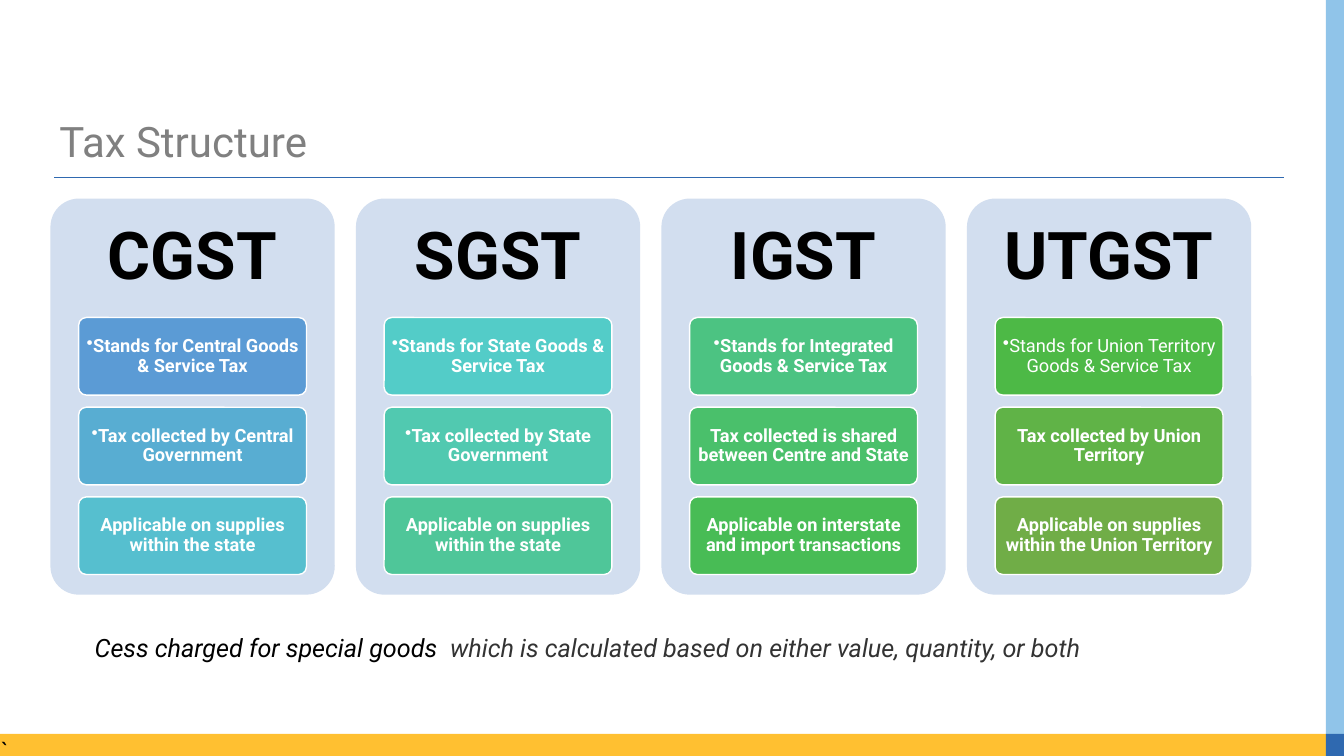
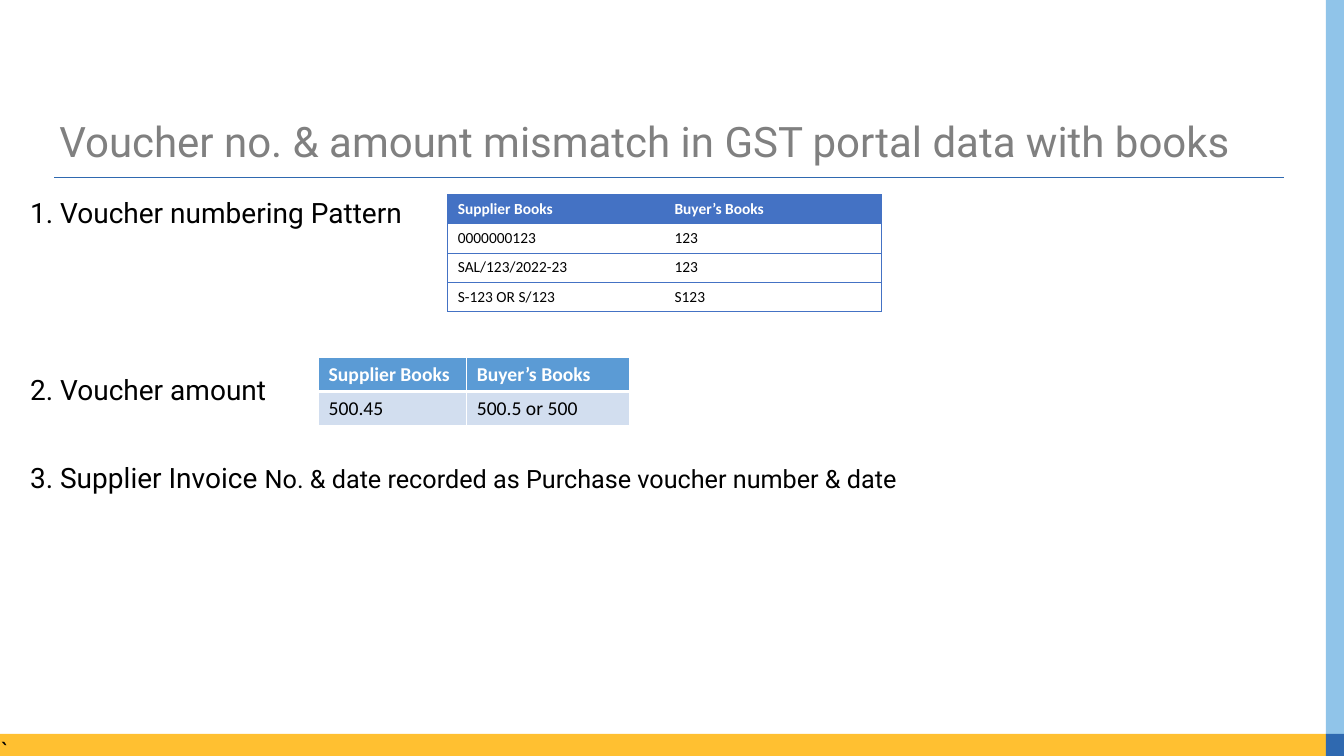
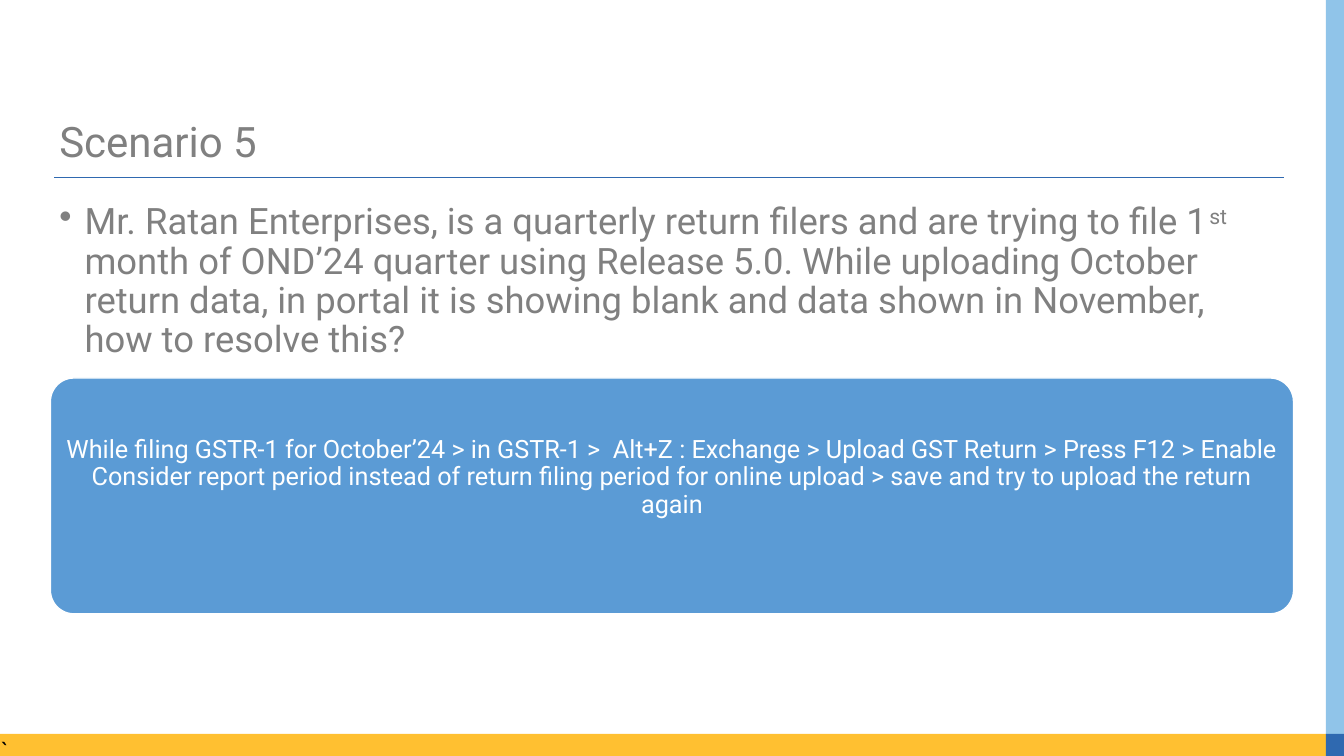
from dataclasses import dataclass

from lxml import etree
from pptx import Presentation
from pptx.dml.color import RGBColor
from pptx.enum.shapes import MSO_CONNECTOR, MSO_SHAPE
from pptx.enum.text import MSO_ANCHOR, PP_ALIGN
from pptx.oxml.ns import qn
from pptx.util import Emu, Pt

RECTANGLE, ROUNDED = MSO_SHAPE.RECTANGLE, MSO_SHAPE.ROUNDED_RECTANGLE
STRAIGHT = MSO_CONNECTOR.STRAIGHT
TOP, MIDDLE = MSO_ANCHOR.TOP, MSO_ANCHOR.MIDDLE
LEFT, CENTER = PP_ALIGN.LEFT, PP_ALIGN.CENTER
EMU_PER_PX = 9144
SLIDE_WIDTH, SLIDE_HEIGHT = 1333, 750
CORNER = 0.1


@dataclass(frozen=True)
class Theme:
    font: str = "Roboto"
    table_font: str = "Calibri"
    black: str = "000000"
    white: str = "FFFFFF"
    grey: str = "808080"
    dark_grey: str = "333333"
    navy: str = "2F69B0"
    sky: str = "90C4E9"
    amber: str = "FFC031"
    blue: str = "5B9BD5"
    royal: str = "4472C4"
    pale: str = "D2DEEF"
    display_size: int = 47
    title_size: int = 30
    question_size: int = 26
    list_size: int = 20
    body_size: int = 18
    cell_size: int = 13
    small_table_size: int = 11
    large_table_size: int = 14


THEME = Theme()

# heading, then (text, fill, bulleted, bold) for each box
TAXES = [
    ("CGST", [
        ("Stands for Central Goods & Service Tax", "5B9BD5", True, True),
        ("Tax collected by Central Government", "58ADD2", True, True),
        ("Applicable on supplies within the state", "56BFCF", False, True)]),
    ("SGST", [
        ("Stands for State Goods & Service Tax", "53CCC8", True, True),
        ("Tax collected by State Government", "51C9B0", True, True),
        ("Applicable on supplies within the state", "4FC699", False, True)]),
    ("IGST", [
        ("Stands for Integrated Goods & Service Tax", "4CC382", True, True),
        ("Tax collected is shared between Centre and State", "4AC06B", False, True),
        ("Applicable on interstate and import transactions", "48BC55", False, True)]),
    ("UTGST", [
        ("Stands for Union Territory Goods & Service Tax", "4DB946", True, False),
        ("Tax collected by Union Territory", "60B347", False, True),
        ("Applicable on supplies within the Union Territory", "70AD47", False, True)]),
]
HEADERS = ["Supplier Books", "Buyer’s Books"]
NUMBER_ROWS = [HEADERS, ["0000000123", "123"], ["SAL/123/2022-23", "123"],
               ["S-123 OR S/123", "S123"]]
AMOUNT_ROWS = [HEADERS, ["500.45", "500.5 or 500"]]


def px(*lengths):
    return [Emu(length * EMU_PER_PX) for length in lengths]


def rgb(value):
    return RGBColor.from_string(value)


def style_run(run, size, color, font=THEME.font, bold=False, italic=False):
    run.font.name = font
    run.font.size = Pt(size)
    run.font.color.rgb = rgb(color)
    run.font.bold = bold
    run.font.italic = italic


def add_run(paragraph, text, size, color, **style):
    run = paragraph.add_run()
    run.text = text
    style_run(run, size, color, **style)
    return run


def add_bullet(paragraph, indent=0):
    properties = paragraph._p.get_or_add_pPr()
    properties.set("marL", str(indent * EMU_PER_PX))
    properties.set("indent", str(-indent * EMU_PER_PX))
    etree.SubElement(properties, qn("a:buChar")).set("char", "•")


def set_frame(text_frame, anchor, margins):
    """Margins are left, top, right, bottom."""
    text_frame.word_wrap = True
    text_frame.vertical_anchor = anchor
    (text_frame.margin_left, text_frame.margin_top,
     text_frame.margin_right, text_frame.margin_bottom) = px(*margins)


def add_text_box(slide, box, anchor=TOP):
    """Return the text frame of a new text box."""
    text_frame = slide.shapes.add_textbox(*px(*box)).text_frame
    set_frame(text_frame, anchor, (10, 5, 10, 5))
    return text_frame


def add_block(slide, kind, box, fill, line=None):
    shape = slide.shapes.add_shape(kind, *px(*box))
    shape.shadow.inherit = False
    shape.fill.solid()
    shape.fill.fore_color.rgb = rgb(fill)
    if line:
        shape.line.color.rgb = rgb(line)
        shape.line.width = Pt(1)
    else:
        shape.line.fill.background()
    if kind == ROUNDED:
        shape.adjustments[0] = CORNER
    return shape


def add_card(slide, box, fill, text, size, color, margins, line=None,
             bold=False, bulleted=False):
    """Draw a rounded block with centred text."""
    shape = add_block(slide, ROUNDED, box, fill, line)
    set_frame(shape.text_frame, MIDDLE, margins)
    paragraph = shape.text_frame.paragraphs[0]
    paragraph.text = text
    paragraph.alignment = CENTER
    paragraph.line_spacing = 0.9
    if bulleted:
        add_bullet(paragraph)
    style_run(paragraph.runs[0], size, color, bold=bold)


def add_frame(slide):
    """Draw the title rule and the coloured edge bands."""
    rule = slide.shapes.add_connector(STRAIGHT, *px(54, 176, 1273, 176))
    rule.line.color.rgb = rgb(THEME.navy)
    rule.line.width = Pt(0.82)
    etree.SubElement(rule._element.spPr, qn("a:effectLst"))

    band_left, band_top = 1315, 728
    side, foot = SLIDE_WIDTH - band_left, SLIDE_HEIGHT - band_top
    footer = add_block(slide, RECTANGLE, (0, band_top, band_left, foot), THEME.amber)
    set_frame(footer.text_frame, TOP, (0, 0, 0, 0))
    paragraph = footer.text_frame.paragraphs[0]
    paragraph.text = "`"
    paragraph.alignment = LEFT
    style_run(paragraph.runs[0], THEME.body_size, THEME.black, font=THEME.table_font)
    add_block(slide, RECTANGLE, (band_left, 0, side, band_top), THEME.sky)
    add_block(slide, RECTANGLE, (band_left, band_top, side, foot), THEME.navy)


def add_slide(presentation, title):
    slide = presentation.slides.add_slide(presentation.slide_layouts[6])
    add_frame(slide)
    paragraph = add_text_box(slide, (49, 118, 1220, 50), MIDDLE).paragraphs[0]
    paragraph.text = title
    paragraph.line_spacing = 0.9
    style_run(paragraph.runs[0], THEME.title_size, THEME.grey)
    return slide


def set_borders(cell, borders):
    """Borders are (color, points) or None for left, right, top, bottom."""
    properties = cell._tc.get_or_add_tcPr()
    for position, (side, border) in enumerate(zip("LRTB", borders)):
        line = etree.Element(qn(f"a:ln{side}"))
        if border:
            color, width = border
            line.set("w", str(Pt(width)))
            fill = etree.SubElement(line, qn("a:solidFill"))
            etree.SubElement(fill, qn("a:srgbClr")).set("val", color)
        else:
            etree.SubElement(line, qn("a:noFill"))
        properties.insert(position, line)


def add_grid(slide, left, top, widths, row_height, rows, size, header_fill,
             body_fill, borders_at):
    """Add a table; borders_at(row, column) gives the four borders of a cell."""
    box = px(left, top, sum(widths), row_height * len(rows))
    table = slide.shapes.add_table(len(rows), len(widths), *box).table
    table.horz_banding = False
    for column, width in zip(table.columns, px(*widths)):
        column.width = width
    for row_index, texts in enumerate(rows):
        header = row_index == 0
        fill = header_fill if header else body_fill
        for column_index, text in enumerate(texts):
            cell = table.cell(row_index, column_index)
            cell.text_frame.text = text
            style_run(cell.text_frame.paragraphs[0].runs[0], size,
                      THEME.white if header else THEME.black,
                      font=THEME.table_font, bold=header)
            cell.fill.solid()
            cell.fill.fore_color.rgb = rgb(fill)
            set_borders(cell, borders_at(row_index, column_index))


def number_borders(row, column):
    edge = (THEME.royal, 0.5)
    return (edge if column == 0 else None, edge if column == 1 else None, edge, edge)


def amount_borders(row, column):
    thin, thick = (THEME.white, 1), (THEME.white, 3)
    return (thin, thin, thick if row == 1 else thin, thick if row == 0 else thin)


def build_tax_structure(presentation):
    slide = add_slide(presentation, "Tax Structure")
    for column, (heading, boxes) in enumerate(TAXES):
        left = 50 + 303 * column
        add_card(slide, (left, 197, 282, 393), THEME.pale, heading,
                 THEME.display_size, THEME.black, (12, 12, 12, 286), bold=True)
        for row, (text, fill, bulleted, bold) in enumerate(boxes):
            add_card(slide, (left + 28, 315 + 89 * row, 226, 77), fill, text,
                     THEME.cell_size, THEME.white, (4, 3, 4, 3),
                     line=THEME.white, bold=bold, bulleted=bulleted)
    note = add_text_box(slide, (84, 622, 1071, 40)).paragraphs[0]
    add_run(note, "Cess charged for special goods ", THEME.body_size,
            THEME.black, italic=True)
    add_run(note, " which is calculated based on either value, quantity, or both",
            THEME.body_size, THEME.dark_grey, italic=True)


def build_mismatch(presentation):
    slide = add_slide(presentation,
                      "Voucher no. & amount mismatch in GST portal data with books")
    text_frame = add_text_box(slide, (20, 193, 1280, 510))
    items = [("1. Voucher numbering Pattern", 0), ("2. Voucher amount", 105),
             ("3. Supplier Invoice ", 41)]
    for index, (text, space_before) in enumerate(items):
        paragraph = text_frame.add_paragraph() if index else text_frame.paragraphs[0]
        paragraph.line_spacing = 0.9
        paragraph.space_before = Pt(space_before)
        add_run(paragraph, text, THEME.list_size, THEME.black)
    add_run(paragraph, "No. & date recorded as Purchase voucher number & date",
            THEME.body_size, THEME.black)
    add_grid(slide, 444, 193, [215, 215], 29, NUMBER_ROWS, THEME.small_table_size,
             THEME.royal, THEME.white, number_borders)
    add_grid(slide, 316, 355, [147, 162], 33, AMOUNT_ROWS, THEME.large_table_size,
             THEME.blue, THEME.pale, amount_borders)


def build_scenario(presentation):
    slide = add_slide(presentation, "Scenario 5")
    question = add_text_box(slide, (49, 197, 1202, 170)).paragraphs[0]
    question.line_spacing = 0.9
    add_bullet(question, 25)
    style = THEME.question_size, THEME.grey
    add_run(question, "Mr. Ratan Enterprises, is a quarterly return filers and are "
            "trying to file 1", *style)
    ordinal = add_run(question, "st", *style)
    ordinal.font._element.set("baseline", "30000")
    add_run(question, " month of OND’24 quarter using Release 5.0. While uploading "
            "October return data, in portal it is showing blank and data shown in "
            "November, how to resolve this?", *style)
    answer = ("While filing GSTR-1 for October’24 > in GSTR-1 >  Alt+Z : Exchange > "
              "Upload GST Return > Press F12 > Enable Consider report period instead "
              "of return filing period for online upload > save and try to upload "
              "the return again")
    add_card(slide, (50, 375, 1233, 234), THEME.blue, answer, THEME.body_size,
             THEME.white, (7, 7, 7, 43), line=THEME.white)


def main():
    presentation = Presentation()
    presentation.slide_width, presentation.slide_height = px(SLIDE_WIDTH, SLIDE_HEIGHT)
    build_tax_structure(presentation)
    build_mismatch(presentation)
    build_scenario(presentation)
    presentation.save("out.pptx")


if __name__ == "__main__":
    main()
